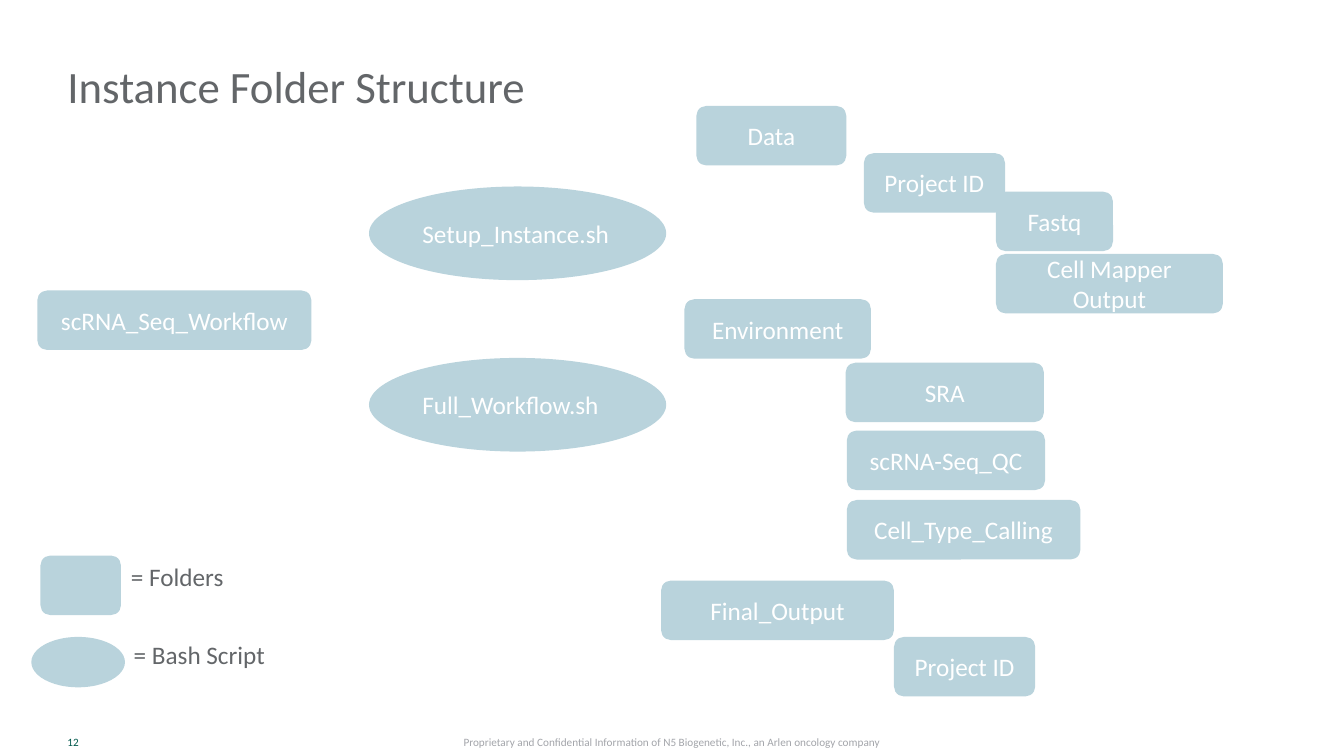
from dataclasses import dataclass

from pptx import Presentation
from pptx import util as u
from pptx.dml import color
from pptx.enum import shapes, text


@dataclass(frozen=True)
class Theme:
    font: str = "Calibri"
    node: str = "B9D3DC"
    on_node: str = "FFFFFF"
    ink: str = "636669"
    footer: str = "A3A5AA"
    page: str = "00594C"
    title_size: int = 32
    body_size: int = 18
    small_size: int = 8


theme = Theme()
LEFT, CENTER = text.PP_ALIGN.LEFT, text.PP_ALIGN.CENTER
TOP, MIDDLE, BOTTOM = text.MSO_ANCHOR.TOP, text.MSO_ANCHOR.MIDDLE, text.MSO_ANCHOR.BOTTOM
FOLDER, SCRIPT = shapes.MSO_SHAPE.ROUNDED_RECTANGLE, shapes.MSO_SHAPE.OVAL
FOLDER_HEIGHT = 1.5

deck = Presentation()
deck.slide_width, deck.slide_height = u.Cm(33.87), u.Cm(19.05)
slide = deck.slides.add_slide(deck.slide_layouts[6])


def write(holder, wording, size, ink, align=LEFT, anchor=MIDDLE):
    frame = holder.text_frame
    frame.word_wrap = True
    frame.vertical_anchor = anchor
    frame.text = wording
    paragraph = frame.paragraphs[0]
    paragraph.alignment = align
    for run in paragraph.runs:
        run.font.name = theme.font
        run.font.size = u.Pt(size)
        run.font.color.rgb = color.RGBColor.from_string(ink)
    return frame


def add_node(kind, wording, left, top, width, height, align=CENTER):
    node = slide.shapes.add_shape(kind, u.Cm(left), u.Cm(top), u.Cm(width), u.Cm(height))
    node.shadow.inherit = False
    node.fill.solid()
    node.fill.fore_color.rgb = color.RGBColor.from_string(theme.node)
    node.line.fill.background()
    write(node, wording, theme.body_size, theme.on_node, align)


title = slide.shapes.add_textbox(u.Cm(1.7), u.Cm(0), u.Cm(26.77), u.Cm(2.95))
title_frame = write(title, "Instance Folder Structure", theme.title_size, theme.ink, anchor=BOTTOM)
title_frame.margin_left = 0
title_frame.paragraphs[0].line_spacing = u.Pt(36)

folders = [
    ("scRNA_Seq_Workflow", 0.94, 7.32, 6.91),
    ("Data", 17.55, 2.67, 3.78),
    ("Project ID", 21.77, 3.86, 3.56),
    ("Fastq", 25.1, 4.83, 2.95),
    ("Cell Mapper Output", 25.1, 6.4, 5.72),
    ("Environment", 17.25, 7.54, 4.7),
    ("SRA", 21.31, 9.14, 5),
    ("scRNA-Seq_QC", 21.34, 10.85, 5),
    ("Cell_Type_Calling", 21.34, 12.6, 5.89),
    ("Final_Output", 16.66, 14.63, 5.87),
    ("Project ID", 22.53, 16.05, 3.56),
]
for folder, left, top, width in folders:
    add_node(FOLDER, folder, left, top, width, FOLDER_HEIGHT)

for script, top in [("Setup_Instance.sh", 4.7), ("Full_Workflow.sh", 9.02)]:
    add_node(SCRIPT, script, 9.3, top, 7.49, 2.36, LEFT)

add_node(FOLDER, "", 1.02, 14, 2.03, FOLDER_HEIGHT)
add_node(SCRIPT, "", 0.79, 16.05, 2.36, 1.27)

legend = [("= Folders", 3.05, 14.02, 3.61), ("= Bash Script", 3.12, 15.98, 4.45)]
for meaning, left, top, width in legend:
    key = slide.shapes.add_textbox(u.Cm(left), u.Cm(top), u.Cm(width), u.Cm(1.02))
    write(key, meaning, theme.body_size, theme.ink, anchor=TOP)

page = slide.shapes.add_textbox(u.Cm(1.7), u.Cm(18.34), u.Cm(1.7), u.Cm(0.71))
page_frame = write(page, "12", theme.small_size, theme.page)
page_frame.margin_left = page_frame.margin_right = 0

notice = slide.shapes.add_textbox(u.Cm(10.77), u.Cm(18.34), u.Cm(12.34), u.Cm(0.71))
write(
    notice,
    "Proprietary and Confidential Information of N5 Biogenetic, Inc., an Arlen oncology company",
    theme.small_size,
    theme.footer,
    CENTER,
)

deck.save("out.pptx")
